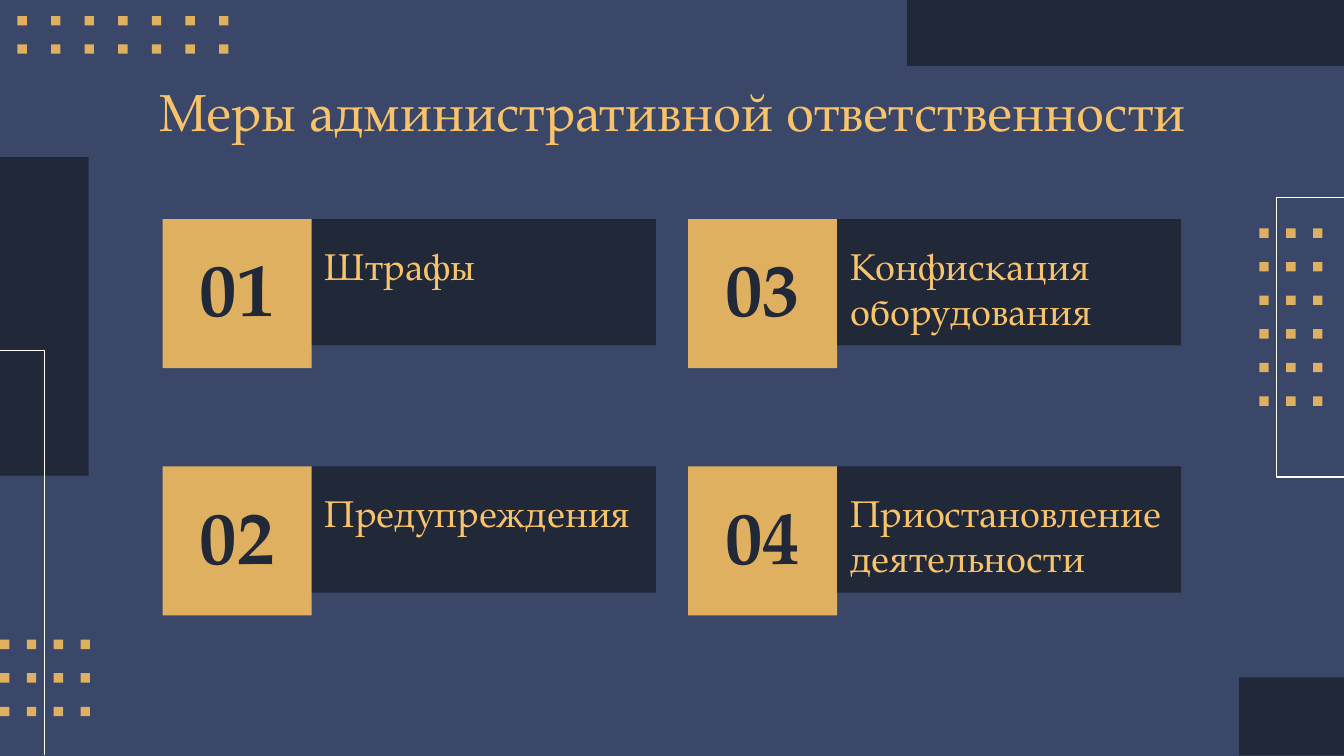
"""Build a slide listing four numbered measures of administrative liability."""
from itertools import product

from pptx import Presentation
from pptx.dml.color import RGBColor
from pptx.enum.shapes import MSO_SHAPE
from pptx.enum.text import MSO_ANCHOR, PP_ALIGN
from pptx.util import Inches, Pt

RECT = MSO_SHAPE.RECTANGLE
TOP, MIDDLE = MSO_ANCHOR.TOP, MSO_ANCHOR.MIDDLE
LEFT, CENTER = PP_ALIGN.LEFT, PP_ALIGN.CENTER

THEME = {
    "font": "TeX Gyre Pagella",
    "back": RGBColor.from_string("3A4769"),
    "dark": RGBColor.from_string("212838"),
    "gold": RGBColor.from_string("DFB05F"),
    "text": RGBColor.from_string("F8C36A"),
    "white": RGBColor.from_string("FFFFFF"),
    "title": Pt(28),
    "number": Pt(40),
    "label": Pt(20),
    "outline": Pt(0.75),
}


def add_block(s, x, y, w, h, color):
    sp = s.shapes.add_shape(RECT, Inches(x), Inches(y), Inches(w), Inches(h))
    sp.shadow.inherit = False
    sp.fill.solid()
    sp.fill.fore_color.rgb = THEME[color]
    sp.line.fill.background()
    return sp


def write(sp, text, size, color, align, anchor, insets, bold=False):
    tf = sp.text_frame
    frame = {"word_wrap": True, "vertical_anchor": anchor}
    for side, inset in zip(("left", "top", "right", "bottom"), insets):
        frame[f"margin_{side}"] = Inches(inset)
    for name, value in frame.items():
        setattr(tf, name, value)
    p = tf.paragraphs[0]
    p.alignment = align
    r = p.add_run()
    r.text = text
    for name, value in {"name": THEME["font"], "size": THEME[size], "bold": bold}.items():
        setattr(r.font, name, value)
    r.font.color.rgb = THEME[color]


prs = Presentation()
prs.slide_width, prs.slide_height = Inches(10), Inches(10 * 9 / 16)
s = prs.slides.add_slide(prs.slide_layouts[6])
s.background.fill.solid()
s.background.fill.fore_color.rgb = THEME["back"]

for x, y, w, h in ((9.22, 5.04, 0.78, 0.58), (6.75, 0, 3.25, 0.49), (0, 1.17, 0.66, 2.37)):
    add_block(s, x, y, w, h, "dark")

brackets = (
    ((10, 1.47), (9.5, 1.47), (9.5, 3.55), (10, 3.55)),
    ((0.33, 5.62), (0.33, 2.61), (0, 2.61)),
)
for bracket in brackets:
    start, *rest = [(Inches(x), Inches(y)) for x, y in bracket]
    builder = s.shapes.build_freeform(*start)
    builder.add_line_segments(rest, close=False)
    sp = builder.convert_to_shape()
    sp.shadow.inherit = False
    sp.fill.background()
    sp.line.color.rgb = THEME["white"]
    sp.line.width = THEME["outline"]

dot_grids = (
    (9.37, 1.7, 3, 6, 0.2, 0.25),
    (0.13, 0.12, 7, 2, 0.25, 0.21),
    (0, 4.76, 4, 3, 0.2, 0.25),
)
for x, y, cols, rows, dx, dy in dot_grids:
    for col, row in product(range(cols), range(rows)):
        add_block(s, x + col * dx, y + row * dy, 0.07, 0.07, "gold")

title = s.shapes.add_textbox(Inches(0.79), Inches(0.49), Inches(8.43), Inches(0.63))
write(title, "Меры административной ответственности", "title", "text", CENTER, TOP, (0.1,) * 4)

measures = ("Штрафы", "Предупреждения", "Конфискация оборудования", "Приостановление деятельности")
for i, measure in enumerate(measures):
    col, row = divmod(i, 2)
    x, y = 1.21 + col * 3.91, 1.63 + row * 1.84
    number = add_block(s, x, y, 1.11, 1.11, "gold")
    write(number, f"{i + 1:02}", "number", "dark", CENTER, MIDDLE, (0, 0, 0, 0.1), bold=True)
    label = add_block(s, x + 1.11, y, 2.56, 0.94, "dark")
    write(label, measure, "label", "text", LEFT, TOP, (0.1, 0.18, 0.1, 0.08))

prs.save("out.pptx")
